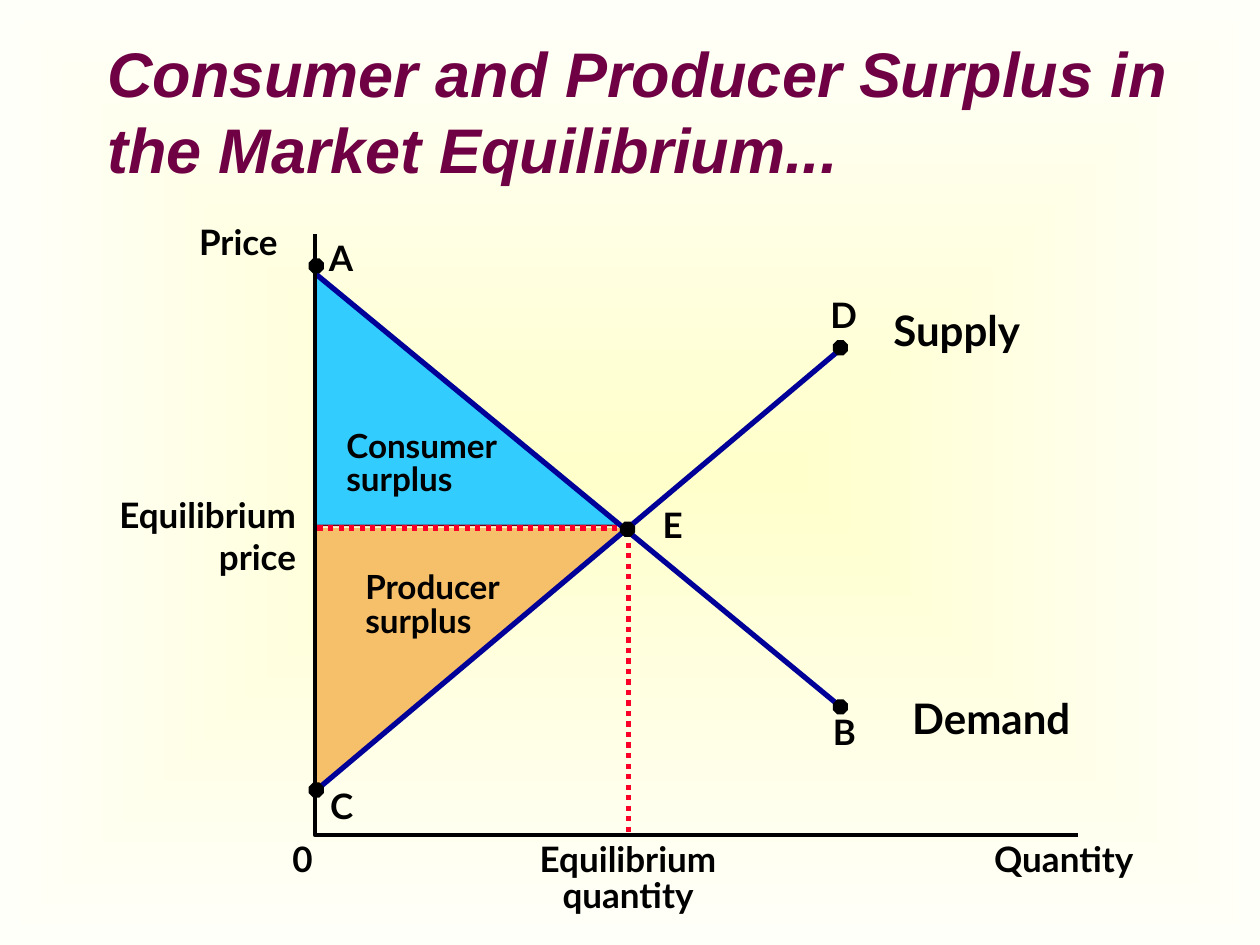
import lxml.etree
import pptx
import pptx.util
import pptx.dml.color
import pptx.enum.dml
import pptx.enum.shapes
import pptx.enum.text
import pptx.oxml
import pptx.oxml.ns
from dataclasses import dataclass

Inches, Pt = pptx.util.Inches, pptx.util.Pt
RGB = pptx.dml.color.RGBColor.from_string
Align = pptx.enum.text.PP_ALIGN
Preset = pptx.enum.shapes.MSO_SHAPE
qn = pptx.oxml.ns.qn


@dataclass(frozen=True)
class Theme:
    center: str = "FFFFCC"
    edge: str = "FFFFFA"
    title: str = "6E0043"
    ink: str = "000000"
    curve: str = "000099"
    guide: str = "FC0128"
    consumer: str = "33CCFF"
    consumer_edge: str = "790015"
    producer: str = "F6BF69"
    title_font: str = "Arial"
    label_font: str = "Lato"
    title_size: int = 36
    curve_size: int = 24
    label_size: int = 20
    area_size: int = 19


theme = Theme()
prs = pptx.Presentation()
prs.slide_width, prs.slide_height = Inches(10), Inches(7.5)
slide = prs.slides.add_slide(prs.slide_layouts[5])
shapes = slide.shapes


def add_path(points, fill=None, line=None, width=0):
    """Draw a closed filled area, or an open line when no fill is given."""
    start, *rest = [(Inches(x), Inches(y)) for x, y in points]
    builder = shapes.build_freeform(*start)
    builder.add_line_segments(rest, close=fill is not None)
    path = builder.convert_to_shape()
    path.shadow.inherit = False
    if fill:
        path.fill.solid()
        path.fill.fore_color.rgb = RGB(fill)
    else:
        path.fill.background()
    if line:
        path.line.color.rgb = RGB(line)
        path.line.width = Pt(width)
    else:
        path.line.fill.background()
    return path


def add_label(text, left, top, width, height, size=theme.label_size,
              align=Align.LEFT, spacing=1.0):
    box = shapes.add_textbox(*map(Inches, (left, top, width, height)))
    frame = box.text_frame
    frame.margin_left = frame.margin_right = frame.margin_top = frame.margin_bottom = 0
    frame.word_wrap = False
    frame.text = text
    for paragraph in frame.paragraphs:
        paragraph.alignment = align
        paragraph.line_spacing = spacing
        paragraph.font.name = theme.label_font
        paragraph.font.size = Pt(size)
        paragraph.font.bold = True
        paragraph.font.color.rgb = RGB(theme.ink)


# Background: gradient from the centre outwards
backdrop = slide.background.fill
backdrop.gradient()
for stop, position, color in zip(backdrop.gradient_stops, (0, 1), (theme.center, theme.edge)):
    stop.position = position
    stop.color.rgb = RGB(color)
gradient = slide.element.find(".//" + qn("a:gradFill"))
gradient.replace(gradient.find(qn("a:lin")), pptx.oxml.parse_xml(
    '<a:path xmlns:a="http://schemas.openxmlformats.org/drawingml/2006/main" path="rect">'
    '<a:fillToRect l="50000" t="50000" r="50000" b="50000"/></a:path>'))

# Title
title = shapes.title
title.left, title.top, title.width, title.height = map(Inches, (0.75, 0.25, 8.92, 1.25))
title.text_frame.text = "Consumer and Producer Surplus in the Market Equilibrium..."
title.text_frame.auto_size = pptx.enum.text.MSO_AUTO_SIZE.NONE
title.text_frame.vertical_anchor = pptx.enum.text.MSO_ANCHOR.MIDDLE
heading = title.text_frame.paragraphs[0]
heading.alignment = Align.LEFT
heading.font.name = theme.title_font
heading.font.size = Pt(theme.title_size)
heading.font.bold = heading.font.italic = True
heading.font.color.rgb = RGB(theme.title)

# Key places in the diagram
axis_x, axis_y = 2.5, 6.63
equilibrium = eq_x, eq_y = 4.99, 4.19
supply_start, supply_end = (axis_x, 6.28), (6.66, 2.78)
demand_start, demand_end = (axis_x, 2.17), (6.66, 5.6)

# Surplus areas
consumer_area = shapes.add_shape(
    Preset.RIGHT_TRIANGLE, *map(Inches, (*demand_start, 2.42, 2)))
consumer_area.shadow.inherit = False
consumer_area.fill.solid()
consumer_area.fill.fore_color.rgb = RGB(theme.consumer)
consumer_area.line.color.rgb = RGB(theme.consumer_edge)
consumer_area.line.width = Pt(1)
add_path([equilibrium, (axis_x, eq_y), supply_start], fill=theme.producer)

# Equilibrium guides, curves and axes
guides = add_path([(2.52, eq_y), equilibrium, (eq_x, axis_y)], line=theme.guide, width=3)
guides.line.dash_style = pptx.enum.dml.MSO_LINE.ROUND_DOT
for start, end in ((supply_start, supply_end), (demand_start, demand_end)):
    curve = shapes.add_connector(
        pptx.enum.shapes.MSO_CONNECTOR.STRAIGHT, *map(Inches, (*start, *end)))
    curve.line.color.rgb = RGB(theme.curve)
    curve.line.width = Pt(3)
    lxml.etree.SubElement(curve.element.spPr, qn("a:effectLst"))
add_path([(axis_x, 1.86), (axis_x, axis_y), (8.56, axis_y)], line=theme.ink, width=2.25)

# Points A, C, E, D and B
dot_size = 0.12
for x, y in ((2.51, 2.11), (2.51, 6.27), (4.98, 4.2), (6.67, 2.76), (6.67, 5.61)):
    dot = shapes.add_shape(Preset.OCTAGON, *map(
        Inches, (x - dot_size / 2, y - dot_size / 2, dot_size, dot_size)))
    dot.shadow.inherit = False
    dot.fill.solid()
    dot.fill.fore_color.rgb = RGB(theme.ink)
    dot.line.fill.background()

# Labels
for text, left, top, width in (
    ("Price", 1.58, 1.75, 0.69),
    ("0", 2.32, 6.65, 0.16),
    ("Quantity", 7.89, 6.65, 1.24),
    ("A", 2.61, 1.88, 0.19),
    ("B", 6.61, 5.64, 0.19),
    ("C", 2.62, 6.23, 0.18),
    ("D", 6.59, 2.33, 0.21),
    ("E", 5.26, 4, 0.16),
):
    add_label(text, left, top, width, 0.33)
add_label("Supply", 7.09, 2.42, 1.12, 0.4, theme.curve_size)
add_label("Demand", 7.24, 5.5, 1.4, 0.4, theme.curve_size)
add_label("Equilibrium\nprice", 0.74, 3.92, 1.61, 0.67, align=Align.RIGHT)
add_label("Equilibrium\nquantity", 4.18, 6.7, 1.61, 0.57, align=Align.CENTER, spacing=0.85)
add_label("Producer\nsurplus", 2.9, 4.54, 1.2, 0.54, theme.area_size, spacing=0.85)
add_label("Consumer\nsurplus", 2.75, 3.42, 1.34, 0.54, theme.area_size, spacing=0.85)

prs.save("out.pptx")
